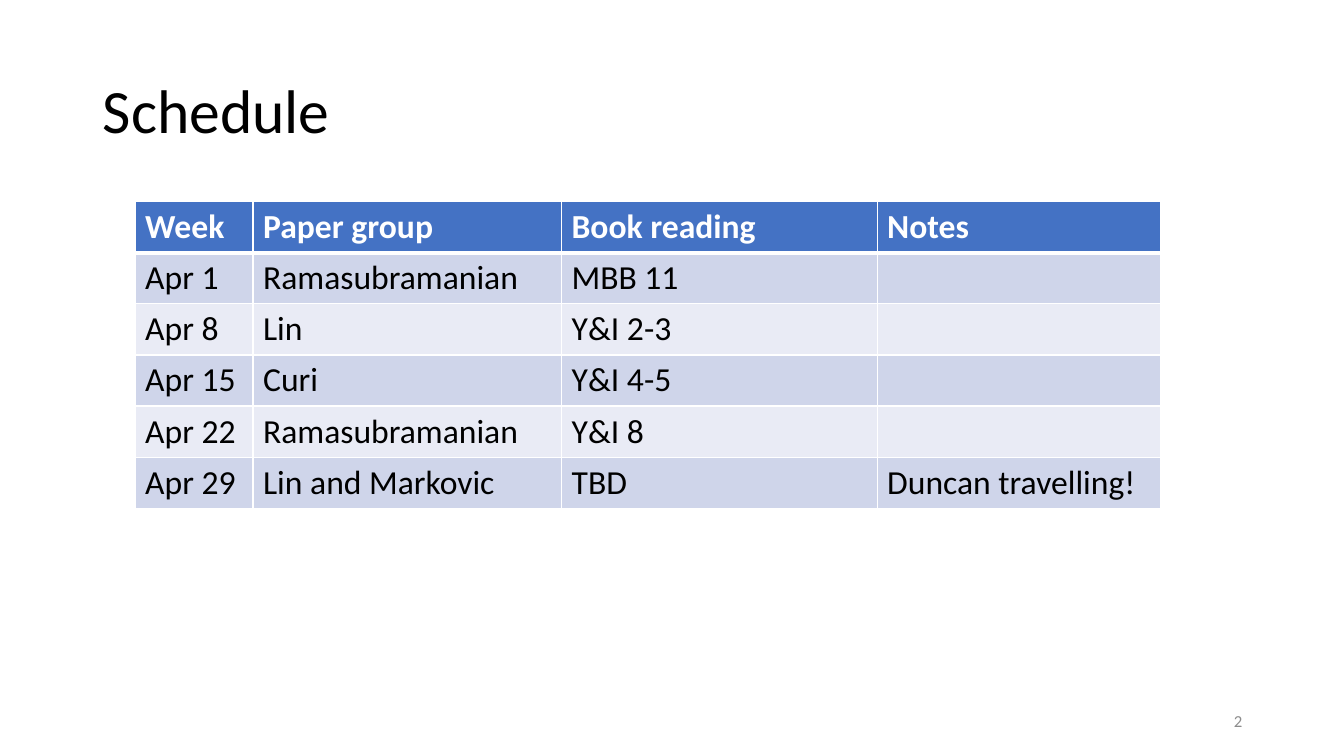
from lxml import etree
from pptx import Presentation
from pptx.dml.color import RGBColor
from pptx.enum.text import MSO_ANCHOR, PP_ALIGN
from pptx.oxml.ns import qn
from pptx.util import Inches, Pt

LEFT, RIGHT = PP_ALIGN.LEFT, PP_ALIGN.RIGHT
MIDDLE = MSO_ANCHOR.MIDDLE
TITLE_ONLY = 5

COLORS = {
    "text": "000000",
    "white": "FFFFFF",
    "header": "4472C4",
    "odd_row": "CFD5EA",
    "even_row": "E9EBF5",
    "page_number": "8C8C8C",
}

SCHEDULE = [
    ["Week", "Paper group", "Book reading", "Notes"],
    ["Apr 1", "Ramasubramanian", "MBB 11", ""],
    ["Apr 8", "Lin", "Y&I 2-3", ""],
    ["Apr 15", "Curi", "Y&I 4-5", ""],
    ["Apr 22", "Ramasubramanian", "Y&I 8", ""],
    ["Apr 29", "Lin and Markovic", "TBD", "Duncan travelling!"],
]
COLUMN_WIDTHS = [1.17, 3.06, 3.13, 2.81]
ROW_HEIGHT = 0.5


class SlideBuilder:
    font_name = "Calibri"

    def __init__(self, slide):
        self.slide = slide

    def color(self, name):
        return RGBColor.from_string(COLORS[name])

    def set_text(self, frame, text, size, color, bold=False, align=LEFT):
        frame.text = text
        paragraph = frame.paragraphs[0]
        paragraph.alignment = align
        font = paragraph.runs[0].font if paragraph.runs else paragraph.font
        font.name = self.font_name
        font.size = Pt(size)
        font.bold = bold
        font.color.rgb = self.color(color)

    def title(self, text, left, top, width, height):
        title = self.slide.shapes.title
        title.left, title.top = Inches(left), Inches(top)
        title.width, title.height = Inches(width), Inches(height)
        self.set_text(title.text_frame, text, 44, "text")
        title.text_frame.vertical_anchor = MIDDLE
        title.text_frame.paragraphs[0].line_spacing = 0.9

    def text(self, text, left, top, width, height, size, color, align):
        box = self.slide.shapes.add_textbox(
            Inches(left), Inches(top), Inches(width), Inches(height))
        box.text_frame.word_wrap = True
        box.text_frame.vertical_anchor = MIDDLE
        self.set_text(box.text_frame, text, size, color, align=align)

    def borders(self, cell, top, bottom):
        properties = cell._tc.get_or_add_tcPr()
        for side, width in (("L", 1), ("R", 1), ("T", top), ("B", bottom)):
            line = etree.SubElement(properties, qn(f"a:ln{side}"), w=str(Pt(width)))
            fill = etree.SubElement(line, qn("a:solidFill"))
            etree.SubElement(fill, qn("a:srgbClr"), val=COLORS["white"])

    def table(self, rows, left, top, column_widths, row_height):
        table = self.slide.shapes.add_table(
            len(rows), len(column_widths), Inches(left), Inches(top),
            Inches(sum(column_widths)), Inches(row_height * len(rows))).table
        for column, width in zip(table.columns, column_widths):
            column.width = Inches(width)
        for r, row in enumerate(rows):
            is_header = r == 0
            band = "header" if is_header else "odd_row" if r % 2 else "even_row"
            for c, text in enumerate(row):
                cell = table.cell(r, c)
                # A thick rule separates the header from the weeks
                self.borders(cell, top=3 if r == 1 else 1, bottom=3 if is_header else 1)
                cell.fill.solid()
                cell.fill.fore_color.rgb = self.color(band)
                self.set_text(cell.text_frame, text, 24,
                              "white" if is_header else "text", bold=is_header)


def main():
    presentation = Presentation()
    presentation.slide_width = Inches(13.33)
    presentation.slide_height = Inches(7.5)
    builder = SlideBuilder(
        presentation.slides.add_slide(presentation.slide_layouts[TITLE_ONLY]))

    # Title
    builder.title("Schedule", 0.92, 0.4, 11.5, 1.45)

    # Weekly schedule
    builder.table(SCHEDULE, 1.34, 2, COLUMN_WIDTHS, ROW_HEIGHT)

    # Page number
    builder.text("2", 9.42, 6.95, 3, 0.4, 12, "page_number", RIGHT)

    presentation.save("out.pptx")


if __name__ == "__main__":
    main()
